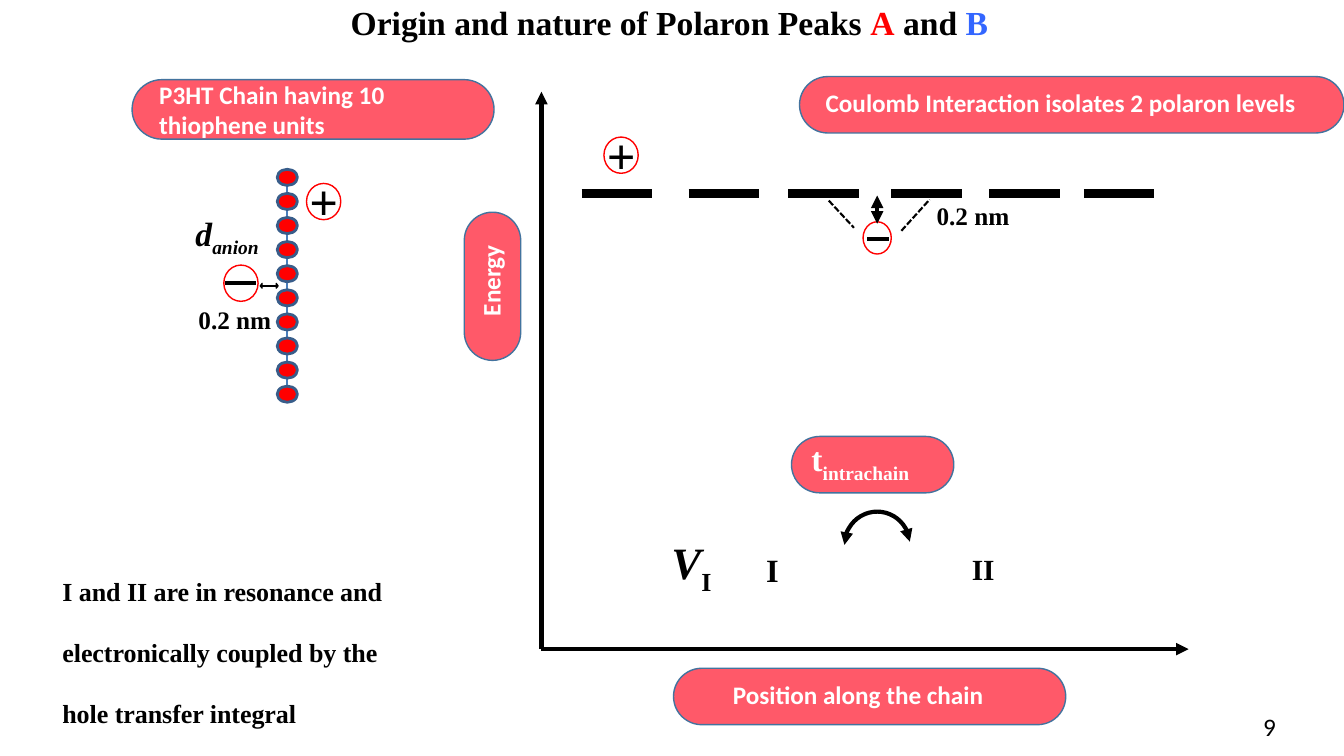
from lxml.etree import SubElement
from pptx import Presentation
from pptx.dml.color import RGBColor as RGB
from pptx.enum.dml import MSO_LINE_DASH_STYLE as DASH
from pptx.enum.shapes import MSO_CONNECTOR as CONN, MSO_SHAPE as SHAPE
from pptx.oxml.ns import qn
from pptx.util import Inches, Pt

COLORS = {
    "black": "000000",
    "white": "FFFFFF",
    "red": "FF0000",
    "blue": "3366FF",
    "pill": "FF5969",
    "pill_edge": "43739E",
    "chain": "4A7EBB",
    "unit_edge": "385D8A",
}
SERIF, SANS = "Times New Roman", "Calibri"
ROWS = 75


def color(name):
    return RGB.from_string(COLORS[name])


def add_run(p, text, size=18, font=SERIF, fill="black", bold=True, italic=False, sub=False):
    r = p.add_run()
    r.text = text
    r.font.size = Pt(size)
    r.font.name = font
    r.font.bold = bold
    r.font.italic = italic
    r.font.color.rgb = color(fill)
    if sub:
        r._r.get_or_add_rPr().set("baseline", "-25000")


class Board:
    def __init__(self, prs):
        self.slide = prs.slides.add_slide(prs.slide_layouts[6])
        self.shapes = self.slide.shapes
        self.cell = prs.slide_height / ROWS

    def grid(self, *cells):
        return [round(c * self.cell) for c in cells]

    def paint(self, sp, fill, edge, width):
        sp.shadow.inherit = False
        if fill:
            sp.fill.solid()
            sp.fill.fore_color.rgb = color(fill)
        else:
            sp.fill.background()
        sp.line.color.rgb = color(edge)
        sp.line.width = Pt(width)

    def shape(self, kind, at, fill, edge, width=1, adj=(), rot=0):
        sp = self.shapes.add_shape(kind, *self.grid(*at))
        for i, value in enumerate(adj):
            sp.adjustments[i] = value
        sp.rotation = rot
        self.paint(sp, fill, edge, width)
        return sp

    def pill(self, at, rot=0):
        self.shape(SHAPE.ROUNDED_RECTANGLE, at, "pill", "pill_edge", adj=[0.5], rot=rot)

    def ring(self, at):
        self.shape(SHAPE.OVAL, at, "white", "red")

    def text(self, at, *runs, wrap=True, rot=0):
        sp = self.shapes.add_textbox(*self.grid(*at))
        sp.rotation = rot
        tf = sp.text_frame
        tf.word_wrap = wrap
        p = tf.paragraphs[0]
        for text, fmt in runs:
            add_run(p, text, **fmt)

    def arrowheads(self, sp, *ends):
        ln = sp.line._get_or_add_ln()
        for end in ends:
            SubElement(ln, qn(f"a:{end}"), type="triangle")

    def line(self, x1, y1, x2, y2, width=3, ink="black", dash=None, ends=()):
        c = self.shapes.add_connector(CONN.STRAIGHT, *self.grid(x1, y1, x2, y2))
        c.line.color.rgb = color(ink)
        c.line.width = Pt(width)
        if dash:
            c.line.dash_style = dash
        self.arrowheads(c, *ends)
        SubElement(c._element.spPr, qn("a:effectLst"))

    def arc(self, at, adj, rot):
        sp = self.shape(SHAPE.ARC, at, None, "black", 3, adj, rot)
        self.arrowheads(sp, "headEnd", "tailEnd")

    def outline(self, *contours):
        points = [[self.grid(*pt) for pt in contour] for contour in contours]
        fb = self.shapes.build_freeform(*points[0][0])
        for i, (start, *rest) in enumerate(points):
            if i:
                fb.move_to(*start)
            fb.add_line_segments(rest, close=True)
        self.paint(fb.convert_to_shape(), "black", "black", 0)

    def hole(self, x, y):
        self.ring((x, y, 3.4, 3.6))
        self.text((x - 0.7, y - 1.8, 4.9, 7.1), ("+", dict(size=36)), wrap=False)


def draw_chain(b):
    b.outline([(26, 28.3), (27.4, 28.3), (27.4, 28.45), (26, 28.45)],
              [(26, 28.1), (25.8, 28.37), (26, 28.6)],
              [(27.4, 28.6), (27.6, 28.37), (27.4, 28.1)])
    b.pill((13.1, 7.9, 35.9, 5.9))
    b.text((14.8, 7.35, 34.1, 7.1),
           ("P3HT Chain having 10 thiophene units", dict(font=SANS, fill="white")))
    b.text((18.4, 20.6, 9.1, 5), ("d", dict(size=24, italic=True)),
           ("anion", dict(size=24, italic=True, sub=True)), wrap=False)
    b.line(28.5, 17.6, 28.5, 39.4, 1.5, "chain")
    for i in range(10):
        b.shape(SHAPE.OVAL, (27.5, 16.8 + 2.39 * i, 2, 1.6), "red", "unit_edge", 2)
    b.hole(30.4, 18.2)
    b.ring((22.2, 26.3, 3.4, 3.6))
    b.line(22.3, 28.1, 25.4, 28.1)
    b.text((18.7, 29.7, 10.9, 4), ("0.2 nm", {}))
    b.text((5.2, 53.6, 36.5, 18.4),
           ("I and II are in resonance and electronically coupled by the hole transfer integral",
            dict(size=32, sub=True)))


def draw_axes(b):
    b.line(53.7, 64.4, 53.7, 9.1, ends=["tailEnd"])
    b.line(53.7, 64.4, 117.9, 64.4, ends=["tailEnd"])
    label = dict(font=SANS, fill="white")
    b.pill((41.5, 25.6, 14.7, 5.6), rot=270)
    b.text((43.9, 25.6, 9.5, 4), ("Energy", label), rot=270)
    b.pill((66.8, 66.3, 38.9, 5.6))
    b.text((71.7, 66.9, 31.2, 4), ("Position along the chain", label))
    b.pill((79.3, 7.6, 54, 5.6))
    b.text((80.9, 8.2, 50.1, 4), ("Coulomb Interaction isolates 2 polaron levels", label))


def draw_levels(b):
    for x in (57.7, 68.3, 78.2, 88.4, 98.1, 107.5):
        b.line(x, 19.2, x + 7, 19.2, 6)
    b.hole(59.9, 13.6)
    b.ring((85.6, 22, 2.8, 3.2))
    b.line(86, 23.7, 88.2, 23.7)
    b.line(87, 19.4, 87, 22.2, ends=["headEnd", "tailEnd"])
    b.line(82.2, 19.9, 84.7, 22.6, 1.5, dash=DASH.SQUARE_DOT)
    b.line(89.4, 22.9, 92.2, 19.8, 1.5, dash=DASH.SQUARE_DOT)
    b.text((91.9, 19.4, 10.9, 4), ("0.2 nm", {}))


def draw_coupling(b):
    b.arc((83.7, 50.8, 6.6, 6.5), [162, 50.6], 270)
    b.text((75, 50.35, 3.5, 5.5), ("I", dict(size=40, sub=True)), wrap=False)
    b.text((95.4, 50.85, 4.6, 5), ("II", dict(size=36, sub=True)), wrap=False)
    b.pill((78.5, 43.3, 16.1, 5.6))
    b.text((79.5, 43, 14.1, 7.7), ("t", dict(size=24, fill="white")),
           ("intrachain", dict(size=24, fill="white", sub=True)))
    b.text((65.6, 52.6, 6.2, 6.4), ("V", dict(size=32, italic=True)),
           ("I", dict(size=32, sub=True)), wrap=False)


def main():
    prs = Presentation()
    prs.slide_width, prs.slide_height = Inches(13.33), Inches(7.5)
    b = Board(prs)
    b.text((33.8, -0.3, 65.5, 5),
           ("Origin and nature of Polaron Peaks ", dict(size=24)),
           ("A", dict(size=24, fill="red")),
           (" and ", dict(size=24)),
           ("B", dict(size=24, fill="blue")), wrap=False)
    draw_chain(b)
    draw_axes(b)
    draw_levels(b)
    draw_coupling(b)
    b.text((124.3, 70.1, 7.6, 4), ("9", dict(font=SANS, bold=False)))
    prs.save("out.pptx")


if __name__ == "__main__":
    main()
